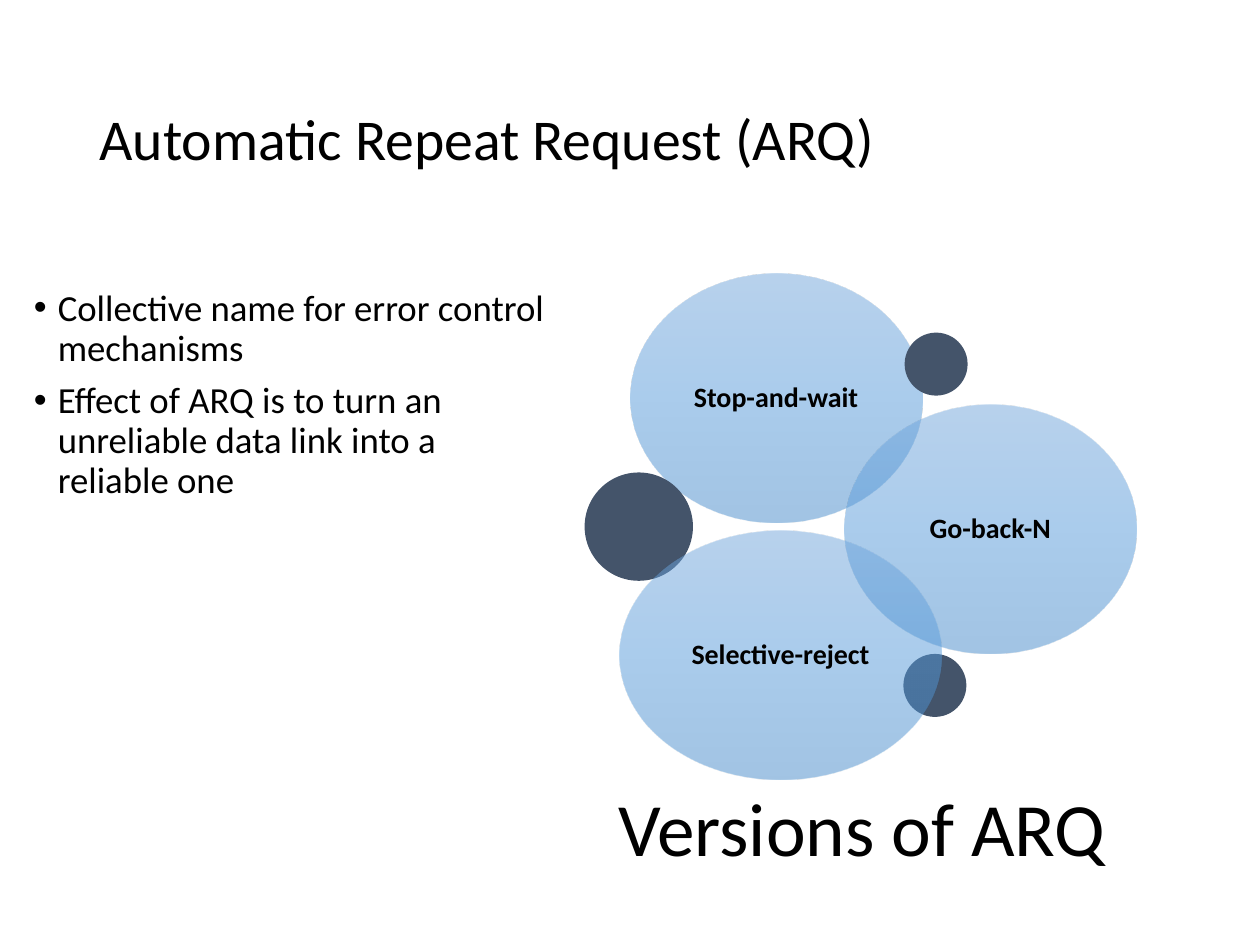
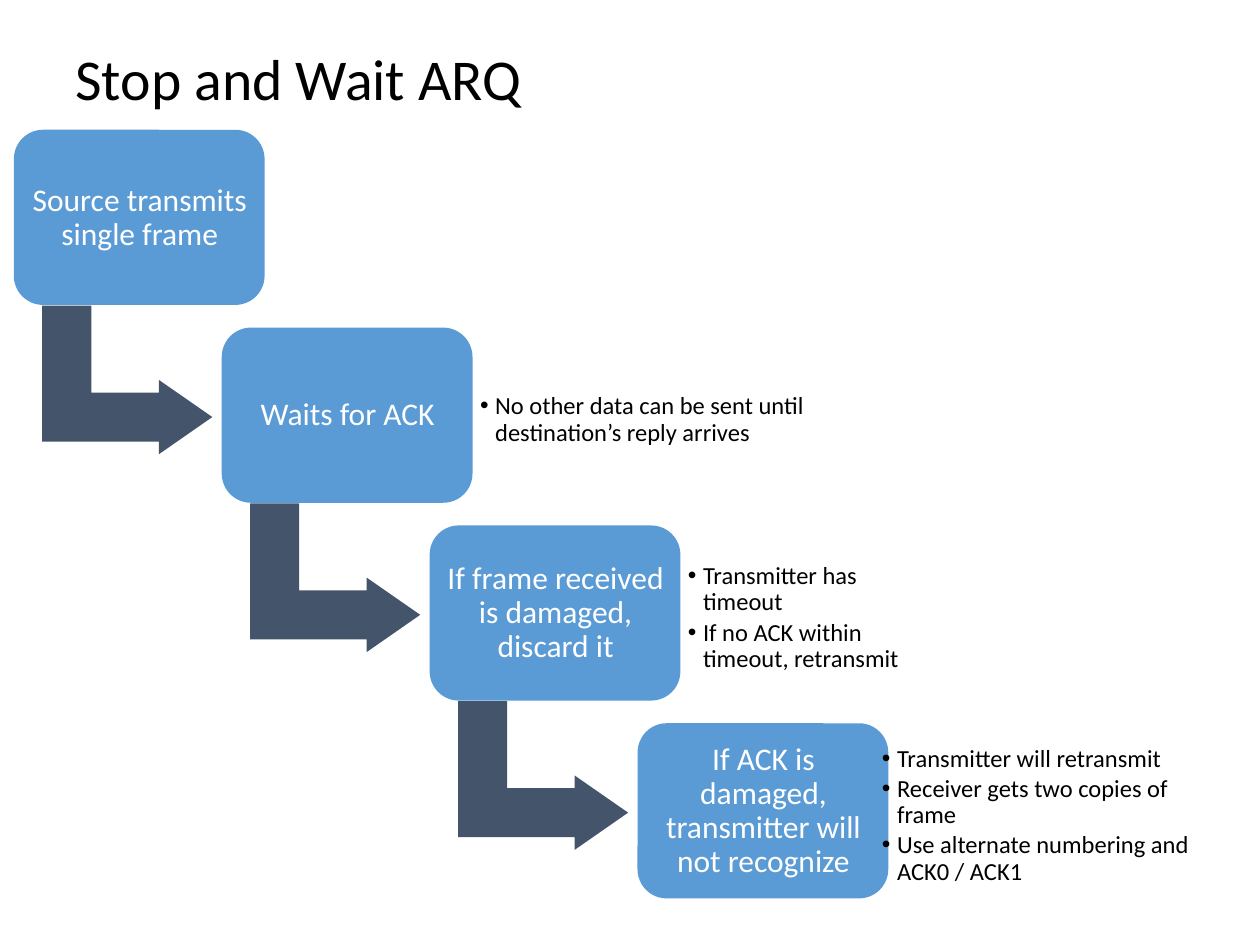
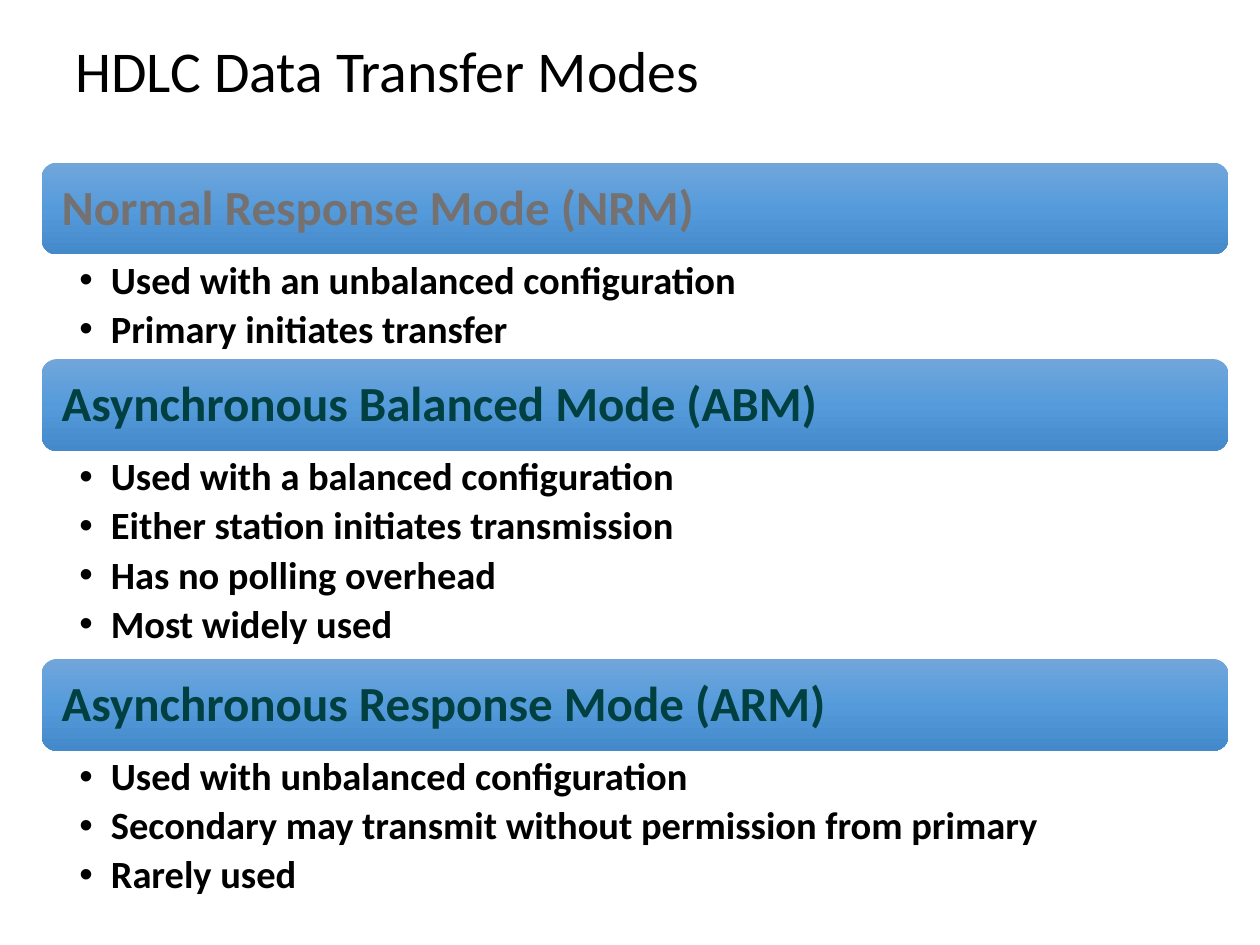
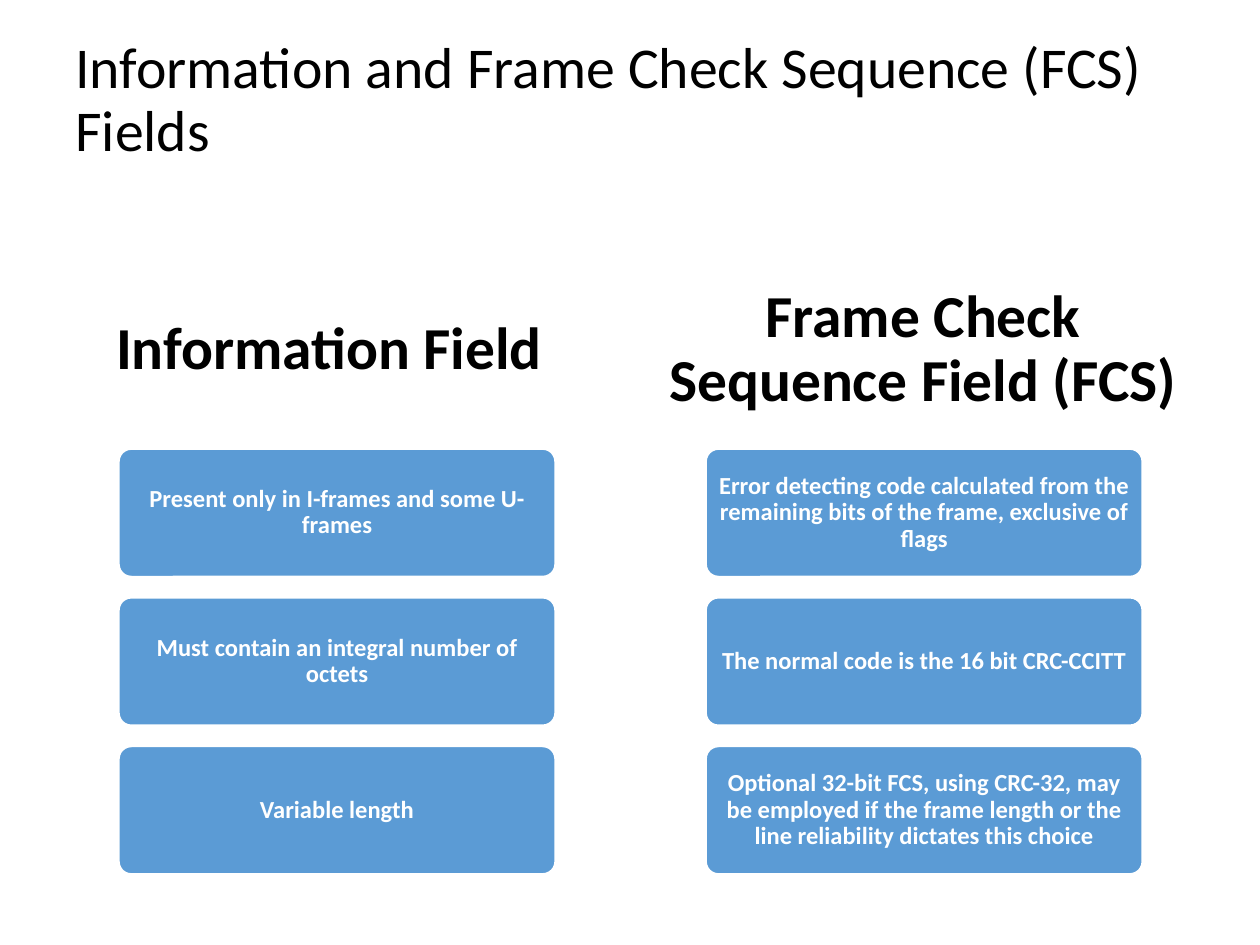
from dataclasses import dataclass
from lxml.etree import SubElement
from pptx import Presentation
from pptx.dml.color import RGBColor
from pptx.enum.shapes import MSO_SHAPE
from pptx.enum.text import MSO_ANCHOR, PP_ALIGN
from pptx.oxml import parse_xml
from pptx.oxml.ns import nsdecls, qn
from pptx.util import Inches, Pt


@dataclass(frozen=True)
class Theme:
    font: str = "Calibri"
    black: str = "000000"
    white: str = "FFFFFF"
    blue: str = "5B9BD5"
    navy: str = "44546A"
    gray: str = "767171"
    teal: str = "004040"
    fade: tuple = ((0, "71A6DB"), (50, "559BDB"), (100, "448ACA"))
    title: int = 33
    body: int = 21
    ring: int = 16
    label: int = 43
    step: int = 18
    note: int = 14
    mode: int = 28
    item: int = 22
    head: int = 34
    card: int = 14


theme = Theme()


def write(slide, text, at, size, color=theme.black, bold=False, align=PP_ALIGN.LEFT,
          anchor=MSO_ANCHOR.MIDDLE, pad=(0.1, 0.05, 0.1, 0.05), hang=0, before=0, after=0):
    """Add a text box; a list of texts gives one paragraph each, hang makes bullets."""
    box = slide.shapes.add_textbox(*map(Inches, at))
    frame = box.text_frame
    frame.word_wrap = True
    frame.vertical_anchor = anchor
    frame.margin_left, frame.margin_top, frame.margin_right, frame.margin_bottom = map(Inches, pad)
    lines = [text] if isinstance(text, str) else text
    for i, line in enumerate(lines):
        para = frame.paragraphs[0] if i == 0 else frame.add_paragraph()
        para.alignment = align
        para.line_spacing = 0.9
        para.space_before, para.space_after = Pt(before), Pt(after)
        run = para.add_run()
        run.text = line
        run.font.name, run.font.size, run.font.bold = theme.font, Pt(size), bold
        run.font.color.rgb = RGBColor.from_string(color)
        if hang:
            props = para._p.get_or_add_pPr()
            props.set("marL", str(Inches(hang)))
            props.set("indent", str(-Inches(hang)))
            SubElement(props, qn("a:buFont")).set("typeface", "Arial")
            SubElement(props, qn("a:buChar")).set("char", "•")


def draw(slide, kind, at, fill=None, alpha=100, adj=(), turn=0, line=None):
    """Add a preset shape; without a fill colour it takes the theme gradient."""
    shape = slide.shapes.add_shape(kind, *map(Inches, at))
    shape.shadow.inherit = False
    shape.rotation = turn
    for i, value in enumerate(adj):
        shape.adjustments[i] = value
    if fill:
        shape.fill.solid()
        shape.fill.fore_color.rgb = RGBColor.from_string(fill)
    else:
        stops = "".join(
            f'<a:gs pos="{pos * 1000}"><a:srgbClr val="{tone}">'
            f'<a:alpha val="{alpha * 1000}"/></a:srgbClr></a:gs>'
            for pos, tone in theme.fade)
        grad = parse_xml(f'<a:gradFill {nsdecls("a")} rotWithShape="1"><a:gsLst>{stops}</a:gsLst>'
                         '<a:lin ang="5400000" scaled="0"/></a:gradFill>')
        shape._element.spPr.find(qn("a:prstGeom")).addnext(grad)
    if line:
        shape.line.color.rgb = RGBColor.from_string(line)
        shape.line.width = Pt(1.5)
    else:
        shape.line.fill.background()


deck = Presentation()
deck.slide_width, deck.slide_height = Inches(10), Inches(7.5)

# Slides and their titles
titles = [
    ("Automatic Repeat Request (ARQ)", (0.69, 0.4, 8.62, 1.45)),
    ("Stop and Wait ARQ", (0.5, 0.02, 9, 1.25)),
    ("HDLC Data Transfer Modes", (0.5, 0, 9, 1.17)),
    ("Information and Frame Check Sequence (FCS) Fields", (0.5, 0.04, 9, 1.53)),
]
slides = []
for text, at in titles:
    slide = deck.slides.add_slide(deck.slide_layouts[6])
    write(slide, text, at, theme.title)
    slides.append(slide)
intro, wait, modes, fields = slides

# Slide 1: points on the left
write(intro, ["Collective name for error control mechanisms",
              "Effect of ARQ is to turn an unreliable data link into a reliable one"],
      (0.17, 2.25, 4.25, 4.87), theme.body, anchor=MSO_ANCHOR.TOP, hang=0.19, before=7.5)

# Slide 1: ovals, each followed by the dots that lie above it
ovals = [
    ("Stop-and-wait", 5, 2.17, 2.32, [(4.64, 3.75, 0.86), (7.18, 2.64, 0.5)]),
    ("Go-back-N", 6.7, 3.21, 2.32, [(7.17, 5.19, 0.5)]),
    ("Selective-reject", 4.92, 4.21, 2.55, []),
]
tall = 1.98
for text, x, y, wide, dots in ovals:
    draw(intro, MSO_SHAPE.OVAL, (x, y, wide, tall), alpha=50)
    # The text area is the box inscribed in the oval
    dx, dy = wide * 0.146, tall * 0.146
    write(intro, text, (x + dx, y + dy, wide - 2 * dx, tall - 2 * dy), theme.ring,
          bold=True, align=PP_ALIGN.CENTER, pad=[0.07] * 4)
    for left, top, side in dots:
        draw(intro, MSO_SHAPE.OVAL, (left, top, side, side), theme.navy)
write(intro, "Versions of ARQ", (4.65, 6.09, 4.38, 1.02), theme.label,
      align=PP_ALIGN.CENTER, pad=[0.18] * 4)

# Slide 2: stairs of steps, with note offset, note width and notes
steps = [
    ("Source transmits single frame", 0, 0, []),
    ("Waits for ACK", 1.99, 2.95,
     ["No other data can be sent until destination’s reply arrives"]),
    ("If frame received is damaged, discard it", 1.99, 1.93,
     ["Transmitter has timeout", "If no ACK within timeout, retransmit"]),
    ("If ACK is damaged, transmitter will not recognize", 1.88, 2.73,
     ["Transmitter will retransmit", "Receiver gets two copies of frame",
      "Use alternate numbering and ACK0 / ACK1"]),
]
for i, (text, shift, wide, notes) in enumerate(steps):
    x, y = 0.11 + 1.65 * i, 1.03 + 1.57 * i
    if i < len(steps) - 1:
        draw(wait, MSO_SHAPE.BENT_UP_ARROW, (x + 0.31, y + 1.31, 1.18, 1.35), theme.navy,
             adj=(0.33, 0.25, 0.36), turn=90)
    draw(wait, MSO_SHAPE.ROUNDED_RECTANGLE, (x, y, 1.99, 1.39), theme.blue)
    write(wait, text, (x + 0.07, y + 0.07, 1.86, 1.26), theme.step, theme.white,
          align=PP_ALIGN.CENTER, pad=[0.07] * 4)
    if notes:
        write(wait, notes, (x + shift, y + 0.17, wide, 1.13), theme.note,
              pad=[0.06] * 4, hang=0.12, after=2.1)

# Slide 3: a bar for each mode, its items below
groups = [
    ("Normal Response Mode (NRM)", theme.gray,
     ["Used with an unbalanced configuration", "Primary initiates transfer"]),
    ("Asynchronous Balanced Mode (ABM)", theme.teal,
     ["Used with a balanced configuration", "Either station initiates transmission",
      "Has no polling overhead", "Most widely used"]),
    ("Asynchronous Response Mode (ARM)", theme.teal,
     ["Used with unbalanced configuration",
      "Secondary may transmit without permission from primary", "Rarely used"]),
]
y = 1.29
for text, tone, items in groups:
    draw(modes, MSO_SHAPE.ROUNDED_RECTANGLE, (0.33, y, 9.42, 0.73))
    write(modes, text, (0.37, y + 0.04, 9.34, 0.66), theme.mode, tone, bold=True, pad=[0.12] * 4)
    y += 0.74
    high = 0.41 * len(items)
    write(modes, items, (0.33, y, 9.42, high), theme.item, bold=True, anchor=MSO_ANCHOR.TOP,
          pad=(0.3, 0.04, 0.22, 0.04), hang=0.25, after=4.4)
    y += high

# Slide 4: two columns of cards
columns = [
    ("Information Field ",
     ["Present only in I-frames and some U-frames",
      "Must contain an integral number of octets", "Variable length"]),
    ("Frame Check Sequence Field (FCS)",
     ["Error detecting code calculated from the remaining bits of the frame, exclusive of flags",
      "The normal code is the 16 bit CRC-CCITT",
      "Optional 32-bit FCS, using CRC-32, may be employed if the frame length "
      "or the line reliability dictates this choice"]),
]
for col, (head, cards) in enumerate(columns):
    x = 0.5 + 4.66 * col
    write(fields, head, (x, 2, 4.33, 1.56), theme.head, bold=True,
          align=PP_ALIGN.CENTER, pad=[0.14] * 4)
    for row, text in enumerate(cards):
        y = 3.56 + 1.18 * row
        draw(fields, MSO_SHAPE.ROUNDED_RECTANGLE, (x + 0.44, y, 3.47, 1.02), theme.blue,
             adj=[0.1], line=theme.white)
        write(fields, text, (x + 0.47, y + 0.03, 3.41, 0.96), theme.card, theme.white,
              bold=True, align=PP_ALIGN.CENTER, pad=(0.04, 0.03, 0.04, 0.03))

deck.save("out.pptx")
